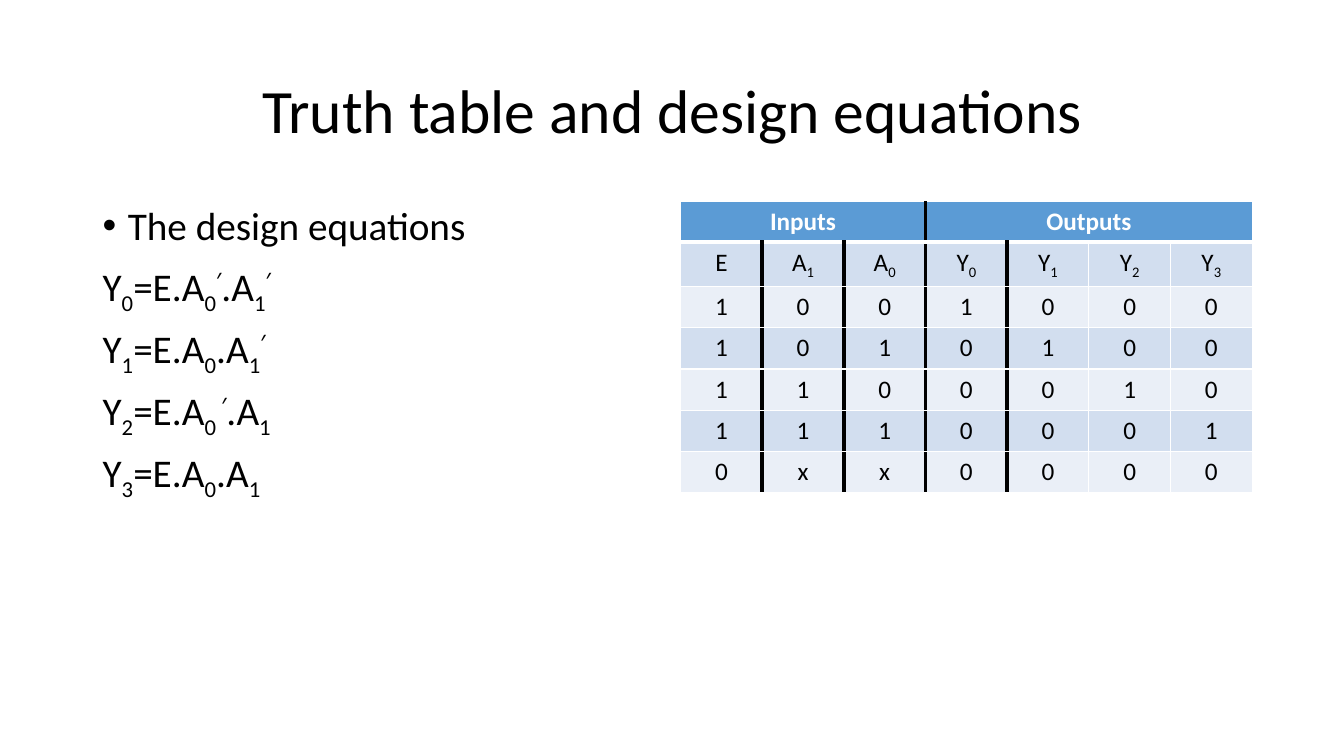
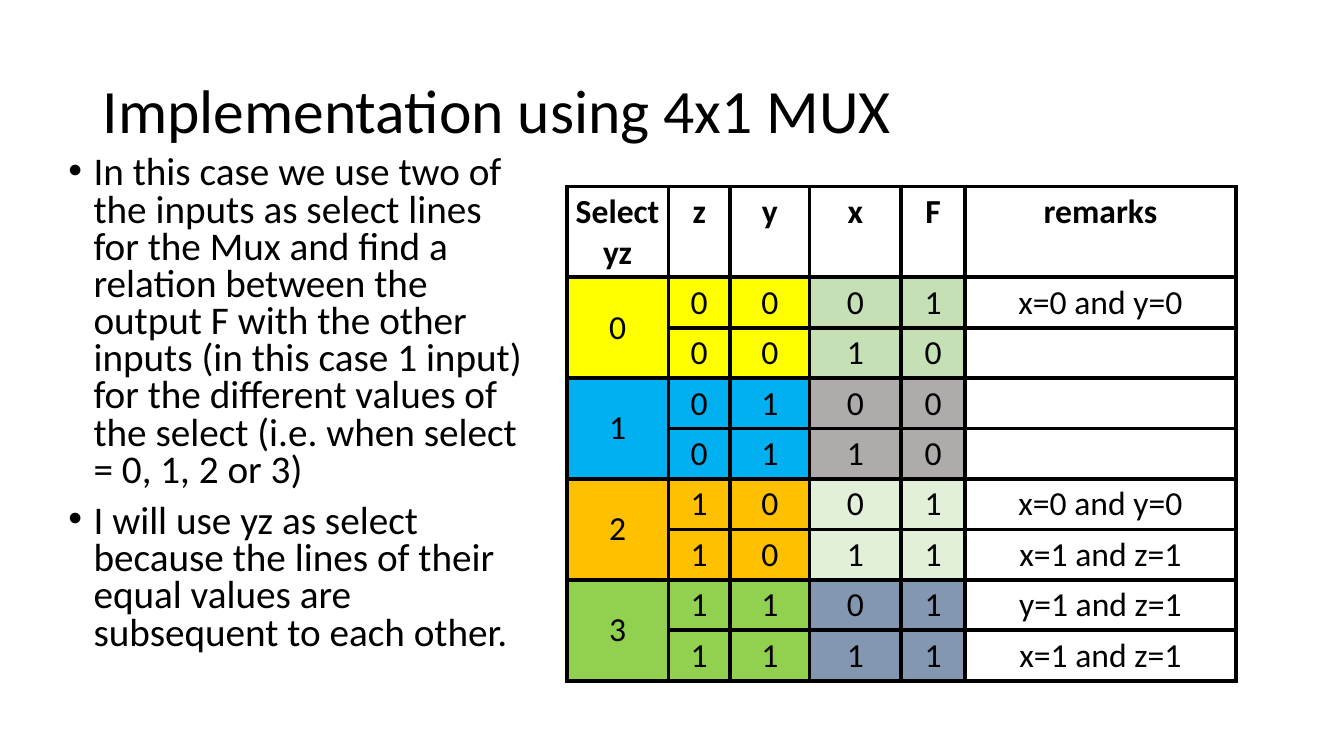
import pptx
import pptx.dml.color
import pptx.enum.text
import pptx.oxml
import pptx.oxml.ns
import pptx.util

PX = 9144
CENTER = pptx.enum.text.PP_ALIGN.CENTER
LEFT = pptx.enum.text.PP_ALIGN.LEFT
MIDDLE = pptx.enum.text.MSO_ANCHOR.MIDDLE
BASELINES = {"_": "-25000", "^": "30000"}
BLACK_EDGE = ("000000", 3)
THIN_EDGE = ("FFFFFF", 1)
THICK_EDGE = ("FFFFFF", 3)


def px(n):
    return pptx.util.Emu(n * PX)


def rgb(value):
    return pptx.dml.color.RGBColor.from_string(value)


def xml(text):
    return pptx.oxml.parse_xml(text.replace(">", " " + pptx.oxml.ns.nsdecls("a") + ">", 1))


class Deck:
    font = "Calibri"
    ink = "000000"
    title_size = 44
    body_size = 28

    def __init__(self):
        self.prs = pptx.Presentation()
        self.prs.slide_width, self.prs.slide_height = px(1333), px(750)
        self.s = None

    def slide(self, title, align=LEFT):
        self.s = self.prs.slides.add_slide(self.prs.slide_layouts[6])
        tf = self.box(92, 40, 1150, 145)
        tf.vertical_anchor = MIDDLE
        p = tf.paragraphs[0]
        p.alignment = align
        p.line_spacing = 0.9
        self.runs(p, title, self.title_size)

    def box(self, x, y, w, h):
        tf = self.s.shapes.add_textbox(px(x), px(y), px(w), px(h)).text_frame
        tf.word_wrap = True
        return tf

    def runs(self, p, text, size, color=ink, bold=False):
        for part in text.split("|"):
            baseline = BASELINES.get(part[0])
            r = p.add_run()
            r.text = part[1:] if baseline else part
            r.font.name = self.font
            r.font.size = pptx.util.Pt(size)
            r.font.bold = bold
            r.font.color.rgb = rgb(color)
            if baseline:
                r._r.get_or_add_rPr().set("baseline", baseline)

    def body(self, x, y, w, h, bullets, lines=(), spacing=0.9):
        tf = self.box(x, y, w, h)
        for i, text in enumerate([*bullets, *lines]):
            p = tf.add_paragraph() if i else tf.paragraphs[0]
            p.line_spacing = spacing
            if i:
                p.space_before = pptx.util.Pt(10)
            if i < len(bullets):
                pPr = p._p.get_or_add_pPr()
                pPr.set("marL", str(px(25)))
                pPr.set("indent", str(px(-25)))
                pPr.append(xml('<a:buFont typeface="Arial"/>'.replace("/>", "></a:buFont>")))
                pPr.append(xml('<a:buChar char="•"></a:buChar>'))
            self.runs(p, text, self.body_size)

    def border(self, cell, side, edge):
        color, width = edge
        cell._tc.get_or_add_tcPr().append(xml(
            f'<a:ln{side} w="{pptx.util.Pt(width)}"><a:solidFill><a:srgbClr val="{color}"/>'
            f'</a:solidFill></a:ln{side}>'))

    def table(self, x, y, cols, heights, rows, size, fill, vertical, horizontal,
              spans, header_ink=ink, inset=10):
        frame = self.s.shapes.add_table(
            len(rows), len(cols), px(x), px(y), px(sum(cols)), px(sum(heights)))
        t = frame.table
        t.first_row = t.horz_banding = False
        for col, w in zip(t.columns, cols):
            col.width = px(w)
        for row, h in zip(t.rows, heights):
            row.height = px(h)
        for top, left, bottom, right in spans:
            t.cell(top, left).merge(t.cell(bottom, right))
        for i, row in enumerate(rows):
            for j, text in enumerate(row):
                cell = t.cell(i, j)
                self.border(cell, "L", vertical(i, j))
                self.border(cell, "R", vertical(i, j + cell.span_width))
                self.border(cell, "T", horizontal(i))
                self.border(cell, "B", horizontal(i + cell.span_height))
                color = fill(i, j)
                if color:
                    cell.fill.solid()
                    cell.fill.fore_color.rgb = rgb(color)
                else:
                    cell.fill.background()
                cell.margin_left = cell.margin_right = px(inset)
                if cell.is_merge_origin:
                    cell.vertical_anchor = MIDDLE
                if text:
                    p = cell.text_frame.paragraphs[0]
                    p.alignment = CENTER
                    self.runs(p, text, size, self.ink if i else header_ink, i == 0)


def truth_table(deck):
    deck.slide("Truth table and design equations", CENTER)
    deck.body(92, 200, 567, 476, ["The design equations"], [
        "Y|_0|=E.A|_0|^′|.A|_1|^′",
        "Y|_1|=E.A|_0|.A|_1|^′",
        "Y|_2|=E.A|_0|^ ′|.A|_1",
        "Y|_3|=E.A|_0|.A|_1",
    ])
    rows = [
        ["Inputs", "", "", "Outputs", "", "", ""],
        ["E", "A|_1", "A|_0", "Y|_0", "Y|_1", "Y|_2", "Y|_3"],
        *["1001000", "1010100", "1100010", "1110001", "0xx0000"],
    ]
    deck.table(
        675, 200, [81] * 7, [35] + [41] * 6, rows, 18,
        fill=lambda i, j: ("EAEFF7", "D2DEEF")[i % 2] if i else "5B9BD5",
        vertical=lambda i, line: BLACK_EDGE if line in ((1, 2, 3, 4) if i else (3,)) else THIN_EDGE,
        horizontal=lambda line: THICK_EDGE if line == 1 else THIN_EDGE,
        spans=[(0, 0, 0, 2), (0, 3, 0, 6)], header_ink="FFFFFF")


def mux_table(deck):
    deck.slide("Implementation using 4x1 MUX")
    outputs = ["10", "00", "11", "11"]
    remarks = ["x=0 and y=0", "", "", "", "x=0 and y=0", "x=1 and z=1", "y=1 and z=1", "x=1 and z=1"]
    select_fills = ["FFFF00", "00B0F0", "FFC000", "92D050"]
    output_fills = ["C5E0B4", "AFABAB", "E2F0D9", "8497B0"]
    rows = [["Select yz", "z", "y", "x", "F", "remarks"]]
    for n, remark in enumerate(remarks):
        select, x = divmod(n, 2)
        z, y = divmod(select, 2)
        rows.append(["" if x else str(select), str(z), str(y), str(x), outputs[select][x], remark])

    def fill(i, j):
        if i == 0 or j == 5:
            return None
        return (select_fills if j < 3 else output_fills)[(i - 1) // 2]

    deck.table(
        562, 185, [101, 61, 79, 91, 63, 269], [41] * 9, rows, 24, fill,
        vertical=lambda i, line: BLACK_EDGE,
        horizontal=lambda line: BLACK_EDGE,
        spans=[(i, 0, i + 1, 0) for i in range(1, 9, 2)], inset=4)
    deck.body(58, 150, 470, 566, [
        "In this case we use two of the inputs as select lines for the Mux and find a relation "
        "between the output F with the other inputs (in this case 1 input) for the different "
        "values of the select (i.e. when select = 0, 1, 2 or 3)",
        "I will use yz as select because the lines of their equal values are subsequent to each other.",
    ], spacing=0.79)


def main():
    deck = Deck()
    truth_table(deck)
    mux_table(deck)
    deck.prs.save("out.pptx")


if __name__ == "__main__":
    main()
